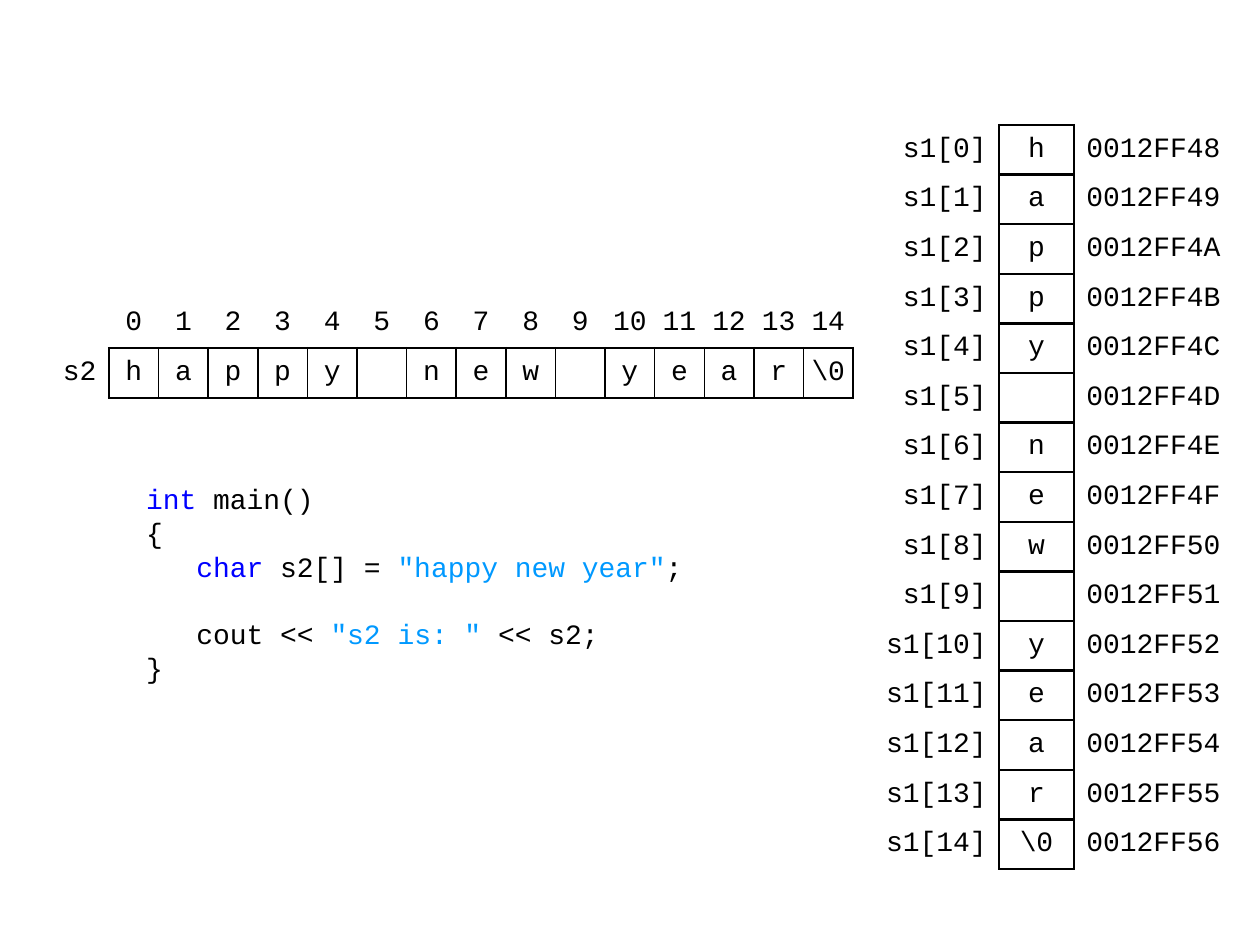
from dataclasses import dataclass

from lxml.etree import SubElement
from pptx import Presentation
from pptx.dml.color import RGBColor
from pptx.enum.text import MSO_ANCHOR, MSO_AUTO_SIZE, PP_ALIGN
from pptx.oxml import parse_xml
from pptx.oxml.ns import nsdecls, qn
from pptx.util import Pt


@dataclass(frozen=True)
class Theme:
    font: str = "Courier New"
    size: float = 16
    leading: float = 19.3
    ink: str = "000000"
    paper: str = "FFFFFF"
    keyword: str = "0000FF"
    string: str = "0099FF"
    heavy: float = 1.5
    light: float = 1


THEME = Theme()
CELL = 28.35
CHARS = [c.strip() for c in "happy new year"] + ["\\0"]
FIRST_ADDRESS = 0x12FF48
CODE = [
    [("int", THEME.keyword), (" main()", THEME.ink)],
    [("{", THEME.ink)],
    [("   ", THEME.ink), ("char", THEME.keyword), (" s2[] = ", THEME.ink),
     ('"happy new year"', THEME.string), (";", THEME.ink)],
    [],
    [("   cout << ", THEME.ink), ('"s2 is: " ', THEME.string),
     ("<< s2;", THEME.ink)],
    [("}", THEME.ink)],
]


def apply(target, formats):
    for name, value in formats.items():
        setattr(target, name, value)


def add_run(p, text, color):
    r = p.add_run()
    r.text = text
    apply(r.font, {"name": THEME.font, "size": Pt(THEME.size)})
    r.font.color.rgb = RGBColor.from_string(color)


def set_borders(cell, **widths):
    tcPr = cell._tc.get_or_add_tcPr()
    for i, side in enumerate("LRTB"):
        width = widths.get(side, 0)
        paint = (f'<a:solidFill><a:srgbClr val="{THEME.ink}"/></a:solidFill>'
                 if width else "<a:noFill/>")
        tcPr.insert(i, parse_xml(
            f'<a:ln{side} {nsdecls("a")} w="{Pt(width)}">{paint}</a:ln{side}>'))


def fill_cell(cell, text, align, margins, filled=False, **borders):
    left, top, right, bottom = map(Pt, margins)
    apply(cell, {"margin_left": left, "margin_top": top, "margin_right": right,
                 "margin_bottom": bottom, "vertical_anchor": MSO_ANCHOR.MIDDLE})
    if filled:
        cell.fill.solid()
        cell.fill.fore_color.rgb = RGBColor.from_string(THEME.paper)
    else:
        cell.fill.background()
    set_borders(cell, **borders)
    p = cell.text_frame.paragraphs[0]
    p.alignment = align
    if text:
        add_run(p, text, THEME.ink)


def add_grid(s, left, top, widths, rows):
    table = s.shapes.add_table(rows, len(widths), Pt(left), Pt(top),
                               Pt(sum(widths)), Pt(rows * CELL)).table
    apply(table, {"first_row": False, "horz_banding": False})
    for column, width in zip(table.columns, widths):
        column.width = Pt(width)
    for row in table.rows:
        row.height = Pt(CELL)
    return table


def add_memory_table(s, left, top):
    table = add_grid(s, left, top, [3 * CELL, 1.5 * CELL, 3.5 * CELL], len(CHARS))
    wide, tight = (7.2, 2.9, 7.2, 2.9), (7.2, 2.9, 5.8, 2.9)
    heavy = THEME.heavy
    for i, char in enumerate(CHARS):
        label, value, address = table.rows[i].cells
        fill_cell(label, f"s1[{i}]", PP_ALIGN.RIGHT, wide, R=heavy)
        fill_cell(value, char, PP_ALIGN.CENTER, wide, True,
                  **dict.fromkeys("LRTB", heavy))
        fill_cell(address, f"{FIRST_ADDRESS + i:08X}", PP_ALIGN.LEFT, tight, True,
                  L=heavy)


def add_array_table(s, left, top):
    table = add_grid(s, left, top, [1.5 * CELL] + [CELL] * len(CHARS), 2)
    none, side = (0, 0, 0, 0), (7.2, 0, 7.2, 0)
    heavy, light = THEME.heavy, THEME.light
    fill_cell(table.cell(0, 0), "", PP_ALIGN.RIGHT, side)
    fill_cell(table.cell(1, 0), "s2", PP_ALIGN.RIGHT, side, R=heavy)
    for i, char in enumerate(CHARS):
        fill_cell(table.cell(0, i + 1), str(i), PP_ALIGN.CENTER, none, B=heavy)
        fill_cell(table.cell(1, i + 1), char, PP_ALIGN.CENTER, none,
                  L=light if i else heavy,
                  R=light if i < len(CHARS) - 1 else heavy,
                  T=heavy, B=heavy)


def add_code(s, left, top, width, height):
    body = s.placeholders[1]
    apply(body, {"left": Pt(left), "top": Pt(top),
                 "width": Pt(width), "height": Pt(height)})
    tf = body.text_frame
    apply(tf, {"word_wrap": True, "auto_size": MSO_AUTO_SIZE.NONE,
               "vertical_anchor": MSO_ANCHOR.TOP, "margin_left": Pt(7.2),
               "margin_right": Pt(0), "margin_top": Pt(5.2),
               "margin_bottom": Pt(0)})
    gap = 0
    p = None
    for line in CODE:
        if not line:
            gap += THEME.leading
            continue
        p = tf.add_paragraph() if p else tf.paragraphs[0]
        apply(p, {"line_spacing": Pt(THEME.leading), "space_before": Pt(gap),
                  "space_after": Pt(0)})
        pPr = p._p.get_or_add_pPr()
        pPr.set("marL", "0")
        pPr.set("indent", "0")
        SubElement(pPr, qn("a:buNone"))
        for text, color in line:
            add_run(p, text, color)
        gap = 0


def main():
    prs = Presentation()
    apply(prs, {"slide_width": Pt(720), "slide_height": Pt(540)})
    s = prs.slides.add_slide(prs.slide_layouts[1])
    title = s.shapes.title.element
    title.getparent().remove(title)
    add_code(s, 76.3, 270, 326, 127.5)
    add_memory_table(s, 486, 71.4)
    add_array_table(s, 19.75, 170.6)
    prs.save("out.pptx")


if __name__ == "__main__":
    main()
